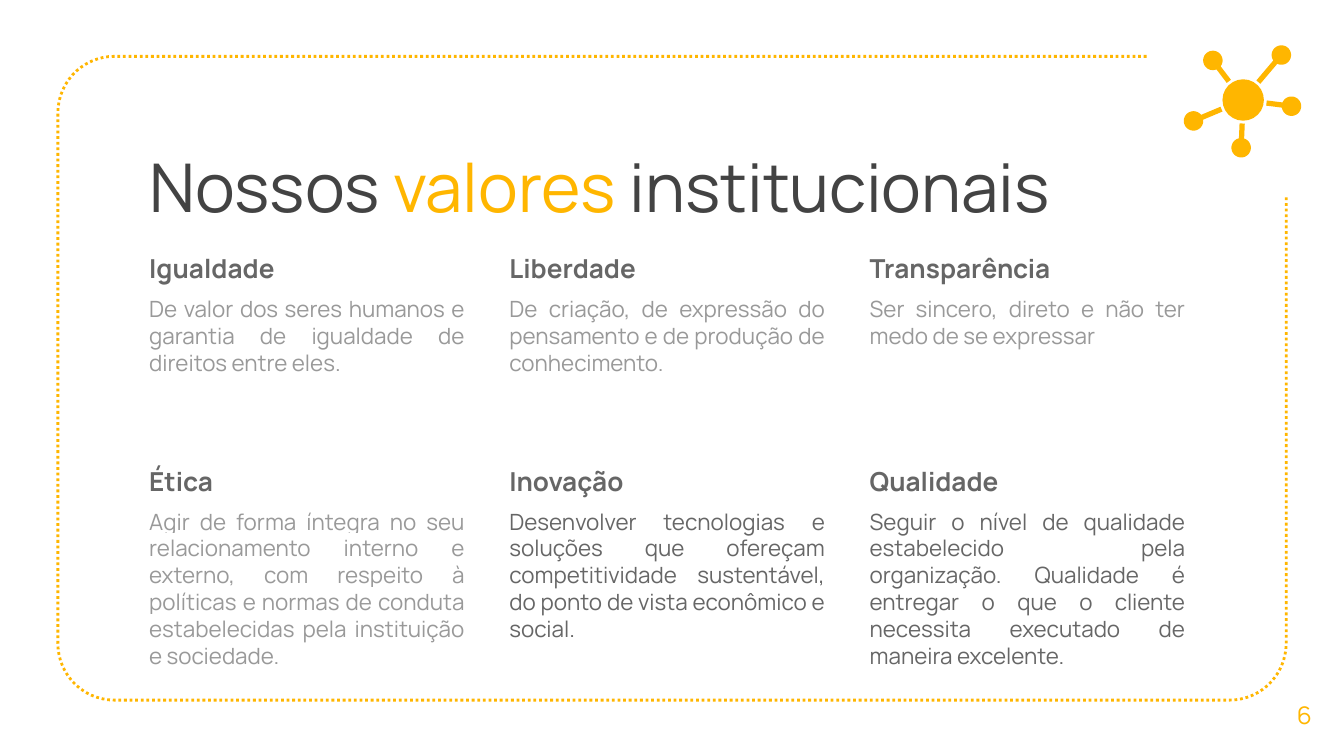
from copy import deepcopy
from dataclasses import dataclass
from math import asin, atan2, cos, hypot, pi, sin

from lxml.etree import SubElement
from pptx import Presentation
from pptx.dml.color import RGBColor
from pptx.enum.dml import MSO_LINE_DASH_STYLE as Dash
from pptx.enum.shapes import MSO_SHAPE as Preset
from pptx.enum.text import MSO_ANCHOR as Anchor, MSO_AUTO_SIZE as AutoSize, PP_ALIGN as Align
from pptx.oxml.ns import qn
from pptx.util import Pt

AMBER = RGBColor(0xFF, 0xB6, 0x00)
CHARCOAL = RGBColor(0x43, 0x43, 0x43)
GREY = RGBColor(0x66, 0x66, 0x66)
LIGHT_GREY = RGBColor(0x99, 0x99, 0x99)
FONT = "Manrope"

Point = tuple[float, float]


@dataclass(frozen=True)
class Value:
    name: str
    meaning: str
    color: RGBColor = LIGHT_GREY
    highlighted: bool = False


VALUES = [
    Value("Igualdade", "De valor dos seres humanos e garantia de igualdade de direitos entre eles."),
    Value("Liberdade", "De criação, de expressão do pensamento e de produção de conhecimento."),
    Value("Transparência", "Ser sincero, direto e não ter medo de se expressar"),
    Value("Ética", "Agir de forma íntegra no seu relacionamento interno e externo, com respeito à "
          "políticas e normas de conduta estabelecidas pela instituição e sociedade.",
          highlighted=True),
    Value("Inovação", "Desenvolver tecnologias e soluções que ofereçam competitividade sustentável, "
          "do ponto de vista econômico e social.", GREY),
    Value("Qualidade", "Seguir o nível de qualidade estabelecido pela organização. Qualidade é "
          "entregar o que o cliente necessita executado de maneira excelente.", GREY),
]

# Grid of values
COLUMNS, GRID_LEFT, GRID_TOP = 3, 72.7, 128.2
COLUMN_STEP, ROW_STEP = 193, 113.8
CELL_WIDTH, CELL_HEIGHT = 183.6, 116.6

# Dotted frame, open at the top right corner
LEFT, TOP, RIGHT, BOTTOM, RADIUS = 31, 30.2, 689, 375.1, 30.3
FRAME_START, FRAME_END = (614.2, TOP), (RIGHT, 105.1)

# Molecule icon
HUB, HUB_RADIUS = (666, 53.6), 11.1
NODES = [(686.5, 29.5), (649.8, 32.4), (639.4, 64.8), (664.9, 79.2), (691.9, 56.9)]
NODE_RADIUS, SPOKE_HALF, SPOKE_GAP = 5.2, 1.4, 12.6


def arc(center: Point, radius: float, start: float, end: float, steps: int) -> list[Point]:
    angles = [start + (end - start) * i / steps for i in range(steps + 1)]
    return [(center[0] + radius * cos(a), center[1] + radius * sin(a)) for a in angles]


def draw_path(slide, points: list[Point], close: bool):
    first, *rest = [(Pt(x), Pt(y)) for x, y in points]
    builder = slide.shapes.build_freeform(*first)
    builder.add_line_segments(rest, close=close)
    path = builder.convert_to_shape()
    path.shadow.inherit = False
    return path


def fill_amber(shape) -> None:
    shape.shadow.inherit = False
    shape.fill.solid()
    shape.fill.fore_color.rgb = AMBER
    shape.line.fill.background()


def draw_frame(slide) -> None:
    corner_left, corner_right = LEFT + RADIUS, RIGHT - RADIUS
    corner_top, corner_bottom = TOP + RADIUS, BOTTOM - RADIUS
    points = [FRAME_START,
              *arc((corner_left, corner_top), RADIUS, -pi / 2, -pi, 15),
              *arc((corner_left, corner_bottom), RADIUS, pi, pi / 2, 15),
              *arc((corner_right, corner_bottom), RADIUS, pi / 2, 0, 15),
              FRAME_END]
    frame = draw_path(slide, points, close=False)
    frame.fill.background()
    frame.line.color.rgb = AMBER
    frame.line.width = Pt(1.5)
    frame.line.dash_style = Dash.ROUND_DOT
    slide.shapes.element.insert(2, frame.element)  # behind the text


def draw_node(slide, node: Point) -> None:
    dx, dy = HUB[0] - node[0], HUB[1] - node[1]
    angle, length = atan2(dy, dx), hypot(dx, dy) - SPOKE_GAP
    opening = asin(SPOKE_HALF / NODE_RADIUS)
    spoke_end = [(node[0] + length * cos(angle) - side * sin(angle),
                  node[1] + length * sin(angle) + side * cos(angle))
                 for side in (-SPOKE_HALF, SPOKE_HALF)]
    outline = arc(node, NODE_RADIUS, angle + opening, angle + 2 * pi - opening, 48)
    fill_amber(draw_path(slide, outline + spoke_end, close=True))


def draw_icon(slide) -> None:
    for node in NODES:
        draw_node(slide, node)
    diameter = Pt(2 * HUB_RADIUS)
    fill_amber(slide.shapes.add_shape(
        Preset.OVAL, Pt(HUB[0] - HUB_RADIUS), Pt(HUB[1] - HUB_RADIUS), diameter, diameter))


def place(shape, left: float, top: float, width: float, height: float, anchor=Anchor.TOP) -> None:
    for name, length in dict(left=left, top=top, width=width, height=height).items():
        setattr(shape, name, Pt(length))
    inset = Pt(7.2)
    frame_format = dict(word_wrap=True, auto_size=AutoSize.NONE, vertical_anchor=anchor,
                        margin_left=inset, margin_right=inset,
                        margin_top=inset, margin_bottom=inset)
    for name, setting in frame_format.items():
        setattr(shape.text_frame, name, setting)


def add_run(paragraph, text: str, size: float, color: RGBColor, bold: bool = False):
    run = paragraph.add_run()
    run.text = text
    for name, setting in dict(name=FONT, size=Pt(size), bold=bold).items():
        setattr(run.font, name, setting)
    run.font.color.rgb = color
    return run


def highlight_white(run) -> None:
    properties = run.font.fill._xPr
    highlight = SubElement(properties, qn("a:highlight"))
    SubElement(highlight, qn("a:srgbClr"), val="FFFFFF")
    properties.find(qn("a:solidFill")).addnext(highlight)


def write_value(body, value: Value) -> None:
    heading = body.text_frame.paragraphs[0]
    meaning = body.text_frame.add_paragraph()
    for paragraph, alignment in ((heading, Align.LEFT), (meaning, Align.JUSTIFY)):
        paragraph.alignment = alignment
        paragraph.space_before = Pt(6)
        properties = paragraph._p.get_or_add_pPr()
        properties.set("marL", "0")
        properties.set("indent", "0")
        SubElement(properties, qn("a:buNone"))
    add_run(heading, value.name, 14, GREY, bold=True)
    run = add_run(meaning, value.meaning, 12, value.color)
    if value.highlighted:
        highlight_white(run)


def values_layout(deck):
    """Give the title and content layout one body placeholder per value."""
    layout = deck.slide_layouts[1]
    body = layout.placeholders[1].element
    for extra in range(1, len(VALUES)):
        twin = deepcopy(body)
        twin.nvSpPr.cNvPr.set("id", str(100 + extra))
        twin.xpath(".//p:ph")[0].set("idx", str(20 + extra))
        layout.shapes.element.append(twin)
    return layout


def main() -> None:
    deck = Presentation()
    deck.slide_width, deck.slide_height = Pt(720), Pt(405)
    slide = deck.slides.add_slide(values_layout(deck))
    draw_frame(slide)

    # Title
    title = slide.shapes.title
    place(title, 72.7, 70.6, 540.7, 67.7)
    headline = title.text_frame.paragraphs[0]
    headline.alignment = Align.LEFT
    for text, color in (("Nossos ", CHARCOAL), ("valores", AMBER), (" institucionais", CHARCOAL)):
        add_run(headline, text, 36, color)

    # Values
    bodies = [p for p in slide.placeholders if p.placeholder_format.idx != 0]
    for index, (body, value) in enumerate(zip(bodies, VALUES)):
        row, column = divmod(index, COLUMNS)
        place(body, GRID_LEFT + column * COLUMN_STEP, GRID_TOP + row * ROW_STEP,
              CELL_WIDTH, CELL_HEIGHT)
        write_value(body, value)

    # Page number
    page = slide.shapes.add_textbox(0, 0, 0, 0)
    place(page, 677.5, 361.4, 42.5, 43.2, Anchor.MIDDLE)
    number = page.text_frame.paragraphs[0]
    number.alignment = Align.CENTER
    add_run(number, "6", 13, AMBER)

    draw_icon(slide)
    deck.save("out.pptx")


if __name__ == "__main__":
    main()
